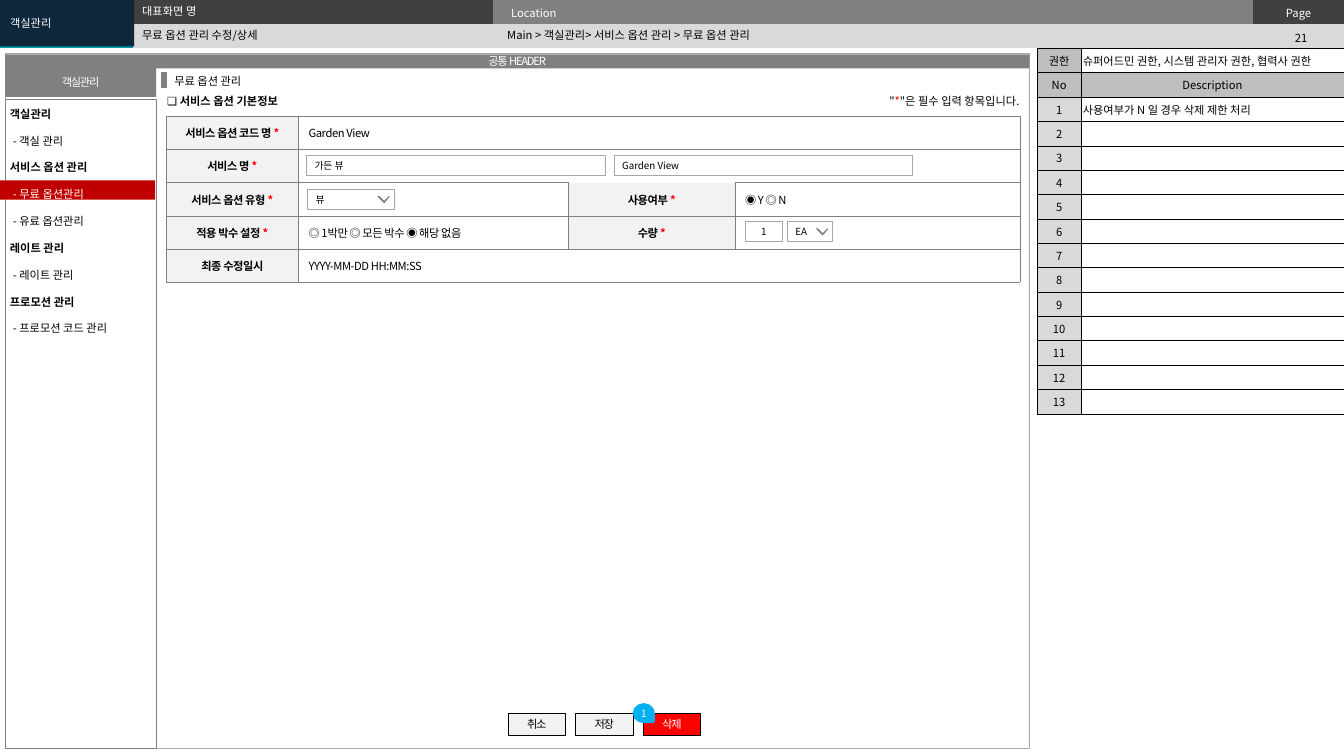
import pptx
import pptx.dml.color
import pptx.enum.shapes
import pptx.enum.text
import pptx.oxml
import pptx.oxml.ns
import pptx.util
from lxml import etree

Inches, Pt = pptx.util.Inches, pptx.util.Pt
RGBColor = pptx.dml.color.RGBColor
MSO_SHAPE = pptx.enum.shapes.MSO_SHAPE
PP_ALIGN = pptx.enum.text.PP_ALIGN
MIDDLE = pptx.enum.text.MSO_ANCHOR.MIDDLE
qn = pptx.oxml.ns.qn

FONT = "Noto Sans CJK KR"
BLACK = RGBColor(0x00, 0x00, 0x00)
WHITE = RGBColor(0xFF, 0xFF, 0xFF)
RED = RGBColor(0xFF, 0x00, 0x00)
DARK_RED = RGBColor(0xC0, 0x00, 0x00)
NAVY = RGBColor(0x0E, 0x27, 0x3B)
TEAL = RGBColor(0x00, 0x9C, 0xA6)
SKY = RGBColor(0x00, 0xB0, 0xF0)
CHARCOAL = RGBColor(0x40, 0x40, 0x40)
ARROW = RGBColor(0x5F, 0x5F, 0x5F)
GRAY = RGBColor(0x80, 0x80, 0x80)
FIELD_LINE = RGBColor(0xA6, 0xA6, 0xA6)
SILVER = RGBColor(0xBF, 0xBF, 0xBF)
LIGHT = RGBColor(0xD9, 0xD9, 0xD9)
PALE = RGBColor(0xF2, 0xF2, 0xF2)


def write(paragraph, text, size=8, color=BLACK, bold=False, align=PP_ALIGN.LEFT,
          spacing=0, line_spacing=None, indent=0):
    """Fill a paragraph; the required mark * is always red."""
    paragraph.alignment = align
    paragraph.space_before = Pt(0)
    if line_spacing:
        paragraph.line_spacing = line_spacing
    properties = paragraph._p.get_or_add_pPr()
    properties.set("marL", str(Inches(indent)))
    properties.set("indent", "0")
    etree.SubElement(properties, qn("a:buNone"))
    for piece in filter(None, text.partition("*")):
        run = paragraph.add_run()
        run.text = piece
        run.font.size, run.font.bold, run.font.name = Pt(size), bold, FONT
        run.font.color.rgb = RED if piece == "*" else color
        run_properties = run._r.get_or_add_rPr()
        run_properties.set("spc", str(round(spacing * 100)))
        etree.SubElement(run_properties, qn("a:ea"), typeface=FONT)
    if not text:
        etree.SubElement(paragraph._p, qn("a:endParaRPr"), sz=str(size * 100))


def set_frame(text_frame, side=0.1, edge=0.05):
    text_frame.word_wrap = True
    text_frame.vertical_anchor = MIDDLE
    text_frame.margin_left = text_frame.margin_right = Inches(side)
    text_frame.margin_top = text_frame.margin_bottom = Inches(edge)


def add_box(shapes, position, text="", fill=None, line=None, width=0.25,
            side=0.04, edge=0.04, kind=MSO_SHAPE.RECTANGLE, **text_format):
    shape = shapes.add_shape(kind, *map(Inches, position))
    shape.shadow.inherit = False
    if fill is None:
        shape.fill.background()
    else:
        shape.fill.solid()
        shape.fill.fore_color.rgb = fill
    if line is None:
        shape.line.fill.background()
    else:
        shape.line.color.rgb = line
        shape.line.width = Pt(width)
    if text:
        set_frame(shape.text_frame, side, edge)
        write(shape.text_frame.paragraphs[0], text, **text_format)
    return shape


def add_label(slide, position, text, **text_format):
    box = slide.shapes.add_textbox(*map(Inches, position))
    set_frame(box.text_frame)
    write(box.text_frame.paragraphs[0], text, **text_format)
    return box


def add_field(shapes, left, top, width, text, **text_format):
    add_box(shapes, (left, top, width, 0.2), text, WHITE, FIELD_LINE, 0.5,
            side=0.08, size=7, **text_format)


def add_select(slide, left, top, width, text):
    group = slide.shapes.add_group_shape()
    add_field(group.shapes, left, top, width, text)
    x, y = left + width - 0.16, top + 0.07
    chevron = [(0.11, 0), (0.06, 0.05), (0.01, 0), (0, 0), (0.06, 0.06)]
    points = [(Inches(x + dx), Inches(y + dy)) for dx, dy in chevron]
    builder = group.shapes.build_freeform(*points[0])
    builder.add_line_segments(points[1:], close=True)
    shape = builder.convert_to_shape()
    shape.shadow.inherit = False
    shape.fill.solid()
    shape.fill.fore_color.rgb = ARROW
    shape.line.color.rgb = GRAY
    shape.line.width = Pt(0.75)


def add_grid(slide, left, top, widths, row_height, row_count):
    frame = slide.shapes.add_table(row_count, len(widths), Inches(left), Inches(top),
                                   Inches(sum(widths)), Inches(row_height * row_count))
    table = frame.table
    table.first_row = table.horz_banding = False
    for column, width in zip(table.columns, widths):
        column.width = Inches(width)
    return table


def fill_cell(cell, text="", fill=None, border=None, width=0.5, top=None,
              side=0.1, edge=0.04, **text_format):
    properties = cell._tc.get_or_add_tcPr()
    for name in ("lnL", "lnR", "lnT", "lnB"):
        color, points = (top, 1) if top and name == "lnT" else (border, width)
        line = etree.SubElement(properties, qn("a:" + name), w=str(Pt(points)))
        if color is None:
            etree.SubElement(line, qn("a:noFill"))
        else:
            solid = etree.SubElement(line, qn("a:solidFill"))
            etree.SubElement(solid, qn("a:srgbClr"), val=str(color))
    if fill is None:
        cell.fill.background()
    else:
        cell.fill.solid()
        cell.fill.fore_color.rgb = fill
    cell.vertical_anchor = MIDDLE
    cell.margin_left = cell.margin_right = Inches(side)
    cell.margin_top = cell.margin_bottom = Inches(edge)
    write(cell.text_frame.paragraphs[0], text, **text_format)


def add_header(slide):
    table = add_grid(slide, 0, 0, [1.32, 3.57, 7.54, 0.9], 0.23, 2)
    table.cell(0, 0).merge(table.cell(1, 0))
    top_row = [("", TEAL), ("", CHARCOAL), ("Location", GRAY), ("Page", CHARCOAL)]
    for column, (text, fill) in enumerate(top_row):
        align = PP_ALIGN.CENTER if text == "Page" else PP_ALIGN.LEFT
        fill_cell(table.cell(0, column), text, fill, side=0.18, color=WHITE, align=align)
        fill_cell(table.cell(1, column), fill=LIGHT if column else TEAL)
    add_label(slide, (12.48, 0.26, 0.85, 0.24), "21", align=PP_ALIGN.CENTER)


def place_placeholders(slide):
    contents = {
        0: ((1.31, 0.24, 3.63, 0.22), "무료 옵션 관리 수정/상세", BLACK),
        1: ((4.93, 0.23, 7.38, 0.24), "Main > 객실관리> 서비스 옵션 관리 > 무료 옵션 관리", BLACK),
        2: ((1.31, 0, 3.62, 0.22), "대표화면 명", WHITE),
        3: ((0, 0, 1.33, 0.46), "객실관리", WHITE),
    }
    for placeholder in list(slide.placeholders):
        element = placeholder.element
        tree = element.getparent()
        index = placeholder.placeholder_format.idx
        if index not in contents:
            tree.remove(element)
            continue
        position, text, color = contents[index]
        (placeholder.left, placeholder.top,
         placeholder.width, placeholder.height) = map(Inches, position)
        set_frame(placeholder.text_frame)
        placeholder.text_frame.auto_size = pptx.enum.text.MSO_AUTO_SIZE.NONE
        write(placeholder.text_frame.paragraphs[0], text, color=color)
        if index == 3:
            placeholder.fill.solid()
            placeholder.fill.fore_color.rgb = NAVY
        tree.append(element)  # above the header table


def add_description(slide):
    rows = [("권한", "슈퍼어드민 권한, 시스템 관리자 권한, 협력사 권한"), ("No", "Description"),
            ("1", "사용여부가 N 일 경우 삭제 제한 처리")]
    rows += [(str(number), "") for number in range(2, 14)]
    table = add_grid(slide, 10.29, 0.48, [0.43, 2.61], 3.56 / len(rows), len(rows))
    for row, (key, text) in enumerate(rows):
        heading = text == "Description"
        style = dict(border=BLACK, side=0.02)
        fill_cell(table.cell(row, 0), key, SILVER if row < 2 else LIGHT,
                  align=PP_ALIGN.CENTER, **style)
        fill_cell(table.cell(row, 1), text, SILVER if heading else None,
                  align=PP_ALIGN.CENTER if heading else PP_ALIGN.LEFT, **style)


def add_form(slide):
    rows = [("서비스 옵션 코드 명 *", "Garden View"),
            ("서비스 명 *", ""),
            ("서비스 옵션 유형 *", "", "사용여부 *", "◉ Y ◎ N"),
            ("적용 박수 설정 *", "◎ 1박만 ◎ 모든 박수 ◉ 해당 없음", "수량 *", ""),
            ("최종 수정일시", "YYYY-MM-DD HH:MM:SS")]
    table = add_grid(slide, 1.65, 1.15, [1.31, 2.68, 1.65, 2.83], 0.33, len(rows))
    for row, texts in enumerate(rows):
        if len(texts) == 2:
            table.cell(row, 1).merge(table.cell(row, 3))
        for column in range(4):
            text = texts[column] if column < len(texts) else ""
            label = column % 2 == 0 and bool(text)
            fill_cell(table.cell(row, column), text, PALE if label else WHITE, GRAY, 0.25,
                      top=WHITE if (row, column) == (2, 2) else None, bold=label,
                      align=PP_ALIGN.CENTER if label else PP_ALIGN.LEFT, spacing=-0.3)
    # Input fields
    for left, text in ((3.04, "가든 뷰"), (6.09, "Garden View")):
        add_field(slide.shapes, left, 1.54, 2.96, text)
    add_select(slide, 3.05, 1.88, 0.86, "뷰")
    add_field(slide.shapes, 7.39, 2.2, 0.37, "1", align=PP_ALIGN.CENTER)
    add_select(slide, 7.81, 2.2, 0.45, "EA")


def add_buttons(slide):
    buttons = [("취소", PALE, BLACK), ("저장", PALE, BLACK), ("삭제", RED, WHITE)]
    for number, (text, fill, color) in enumerate(buttons):
        add_box(slide.shapes, (5.04 + 0.67 * number, 7.08, 0.57, 0.21), text, fill, BLACK,
                side=0, edge=0, color=color, align=PP_ALIGN.CENTER, spacing=-0.9)
    marker = add_box(slide.shapes, (6.3, 6.98, 0.17, 0.19), "1", SKY, SKY, 2, side=0, edge=0,
                     kind=MSO_SHAPE.TEAR, size=7, color=WHITE, align=PP_ALIGN.CENTER)
    marker.rotation = 90
    marker.element.txBody.bodyPr.set("vert", "vert270")


def add_menu(slide):
    add_box(slide.shapes, (0, 1.79, 1.54, 0.19), fill=DARK_RED)
    entries = ["객실관리", "- 객실 관리", "서비스 옵션 관리", "- 무료 옵션관리", "- 유료 옵션관리",
               "레이트 관리", "- 레이트 관리", "프로모션 관리", "- 프로모션 코드 관리"]
    box = slide.shapes.add_textbox(*map(Inches, (0, 0.88, 1.58, 2.48)))
    set_frame(box.text_frame)
    box.text_frame.vertical_anchor = pptx.enum.text.MSO_ANCHOR.TOP
    for number, text in enumerate(entries):
        paragraph = box.text_frame.add_paragraph() if number else box.text_frame.paragraphs[0]
        item = text.startswith("-")
        write(paragraph, text, color=WHITE if text == "- 무료 옵션관리" else BLACK,
              bold=not item, line_spacing=2.0, indent=0.03 if item else 0)


def main():
    presentation = pptx.Presentation()
    presentation.slide_width, presentation.slide_height = Inches(13.33), Inches(7.5)
    slide = presentation.slides.add_slide(presentation.slide_layouts.get_by_name("Comparison"))
    # Page header and frames
    add_header(slide)
    add_box(slide.shapes, (0.05, 0.53, 10.16, 6.89), line=FIELD_LINE)
    place_placeholders(slide)
    add_box(slide.shapes, (0.05, 0.98, 1.5, 6.44), line=GRAY)
    for position, text in (((0.05, 0.54, 10.16, 0.14), "공통 HEADER"),
                           ((0.05, 0.67, 1.5, 0.29), "객실관리")):
        add_box(slide.shapes, position, text, GRAY, edge=0, color=WHITE,
                align=PP_ALIGN.CENTER, spacing=-0.9)
    add_description(slide)
    # Section headings
    add_label(slide, (1.63, 0.68, 2.41, 0.24), "무료 옵션 관리")
    bar = slide.shapes.add_connector(pptx.enum.shapes.MSO_CONNECTOR.STRAIGHT,
                                     *map(Inches, (1.63, 0.71, 1.63, 0.87)))
    bar.line.color.rgb, bar.line.width = GRAY, Pt(4.5)
    etree.SubElement(bar.element.spPr, qn("a:effectLst"))
    add_label(slide, (1.56, 0.88, 1.8, 0.24), "❏ 서비스 옵션 기본정보", bold=True)
    add_label(slide, (8.53, 0.88, 1.68, 0.24), '"*"은 필수 입력 항목입니다.', align=PP_ALIGN.RIGHT)
    # Form, buttons and side menu
    add_form(slide)
    add_buttons(slide)
    add_menu(slide)
    presentation.save("out.pptx")


if __name__ == "__main__":
    main()
